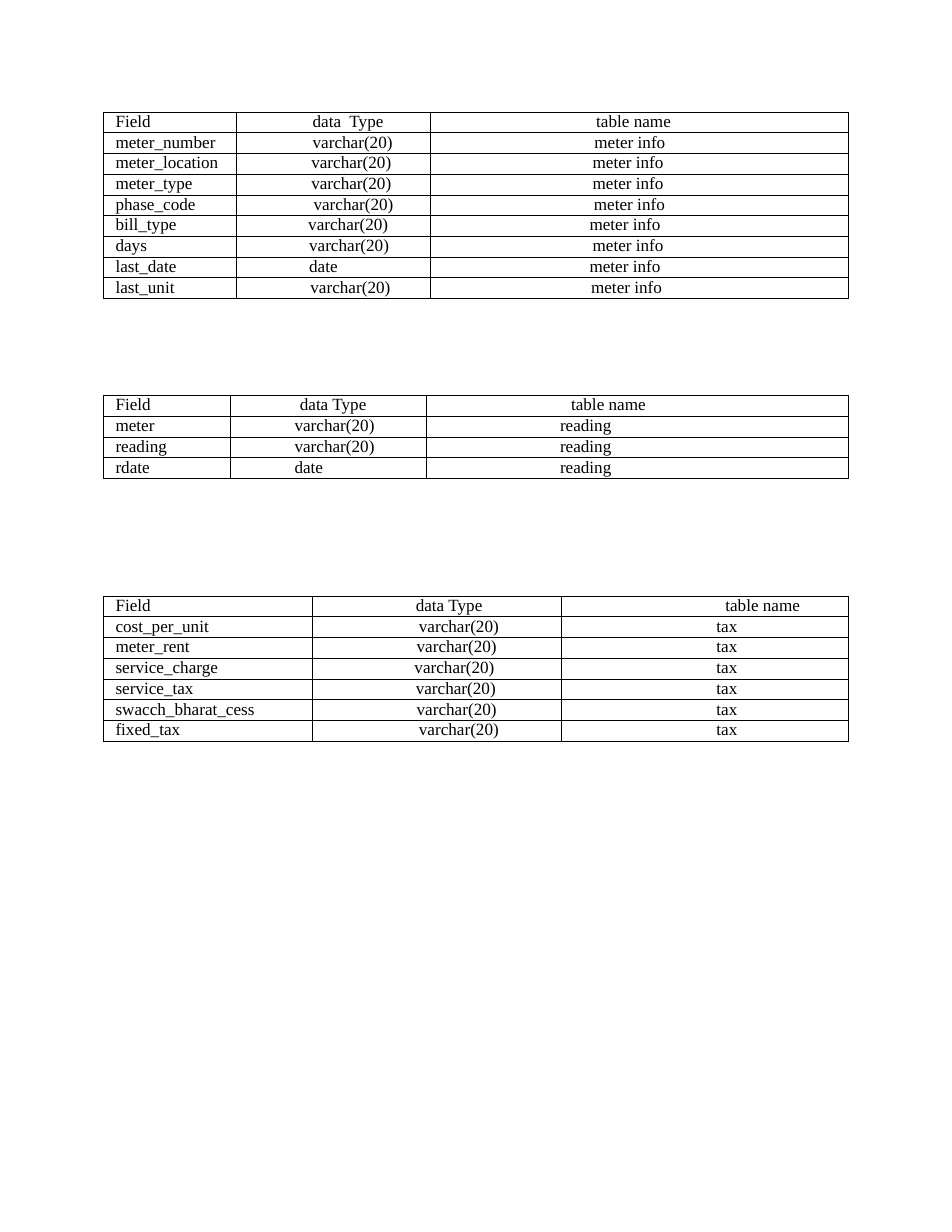
from collections import namedtuple

from lxml.etree import SubElement
from pptx import Presentation
from pptx.dml.color import RGBColor
from pptx.enum.text import MSO_ANCHOR as Anchor, PP_ALIGN as Align
from pptx.oxml.ns import qn
from pptx.util import Cm, Pt

COLORS = {"ink": "000000"}
FONT = "Times New Roman"
ROW_HEIGHT = 0.47
FIELD_INDENT = 0.28

# Indent and inset are in cm
Entry = namedtuple("Entry", "text indent centered inset", defaults=(0, False, 0))


def varchar(indent):
    return Entry("varchar(20)", indent)


def centered(text, inset=0, indent=0):
    return Entry(text, indent, True, inset)


def meter_info(inset):
    return centered("meter info", inset)


READING = Entry("reading", 3.02)
TAX = centered("tax", indent=0.99)

METER_ROWS = [
    ("Field", Entry("data  Type", 1.73), centered("table name", 0.26)),
    ("meter_number", varchar(1.73), meter_info(0.43)),
    ("meter_location", varchar(1.7), meter_info(0.51)),
    ("meter_type", varchar(1.7), meter_info(0.51)),
    ("phase_code", varchar(1.75), meter_info(0.45)),
    ("bill_type", varchar(1.63), meter_info(0.65)),
    ("days", varchar(1.65), meter_info(0.51)),
    ("last_date", centered("date", 0.45), meter_info(0.65)),
    ("last_unit", varchar(1.68), meter_info(0.58)),
]
READING_ROWS = [
    ("Field", Entry("data Type", 1.57), centered("table name", 1.32)),
    ("meter", varchar(1.45), READING),
    ("reading", varchar(1.45), READING),
    ("rdate", Entry("date", 1.45), READING),
]
TAX_ROWS = [
    ("Field", Entry("data Type", 2.34), Entry("table name", 3.71)),
    ("cost_per_unit", varchar(2.41), TAX),
    ("meter_rent", varchar(2.36), TAX),
    ("service_charge", varchar(2.31), TAX),
    ("service_tax", varchar(2.34), TAX),
    ("swacch_bharat_cess", varchar(2.36), TAX),
    ("fixed_tax", varchar(2.41), TAX),
]


def draw_borders(cell):
    props = cell._tc.get_or_add_tcPr()
    for side in ("a:lnL", "a:lnR", "a:lnT", "a:lnB"):
        line = SubElement(props, qn(side), w=str(Pt(0.58)))
        fill = SubElement(line, qn("a:solidFill"))
        SubElement(fill, qn("a:srgbClr"), val=COLORS["ink"])


def fill_cell(cell, entry):
    draw_borders(cell)
    cell.fill.background()
    cell.margin_left = cell.margin_top = cell.margin_bottom = 0
    cell.margin_right = Cm(entry.inset)
    cell.vertical_anchor = Anchor.TOP
    cell.text = entry.text
    para = cell.text_frame.paragraphs[0]
    para.alignment = Align.CENTER if entry.centered else Align.LEFT
    para._p.get_or_add_pPr().set("marL", str(Cm(entry.indent)))
    para.font.name = FONT
    para.font.size = Pt(11)
    para.font.color.rgb = RGBColor.from_string(COLORS["ink"])


def add_field_table(page, left, top, widths, rows):
    frame = page.shapes.add_table(
        len(rows), len(widths), Cm(left), Cm(top),
        Cm(sum(widths)), Cm(ROW_HEIGHT * len(rows)))
    table = frame.table
    table.first_row = table.horz_banding = False
    for column, width in zip(table.columns, widths):
        column.width = Cm(width)
    for row, (field, *others) in zip(table.rows, rows):
        row.height = Cm(ROW_HEIGHT)
        for cell, entry in zip(row.cells, [Entry(field, FIELD_INDENT), *others]):
            fill_cell(cell, entry)


def main():
    deck = Presentation()
    deck.slide_width, deck.slide_height = Cm(21.59), Cm(27.94)
    page = deck.slides.add_slide(deck.slide_layouts[6])

    # Meter, reading and tax tables, from top to bottom
    add_field_table(page, 2.34, 2.54, (3.02, 4.4, 9.48), METER_ROWS)
    add_field_table(page, 2.34, 8.97, (2.89, 4.45, 9.56), READING_ROWS)
    add_field_table(page, 2.34, 13.52, (4.75, 5.65, 6.5), TAX_ROWS)

    deck.save("out.pptx")


if __name__ == "__main__":
    main()
